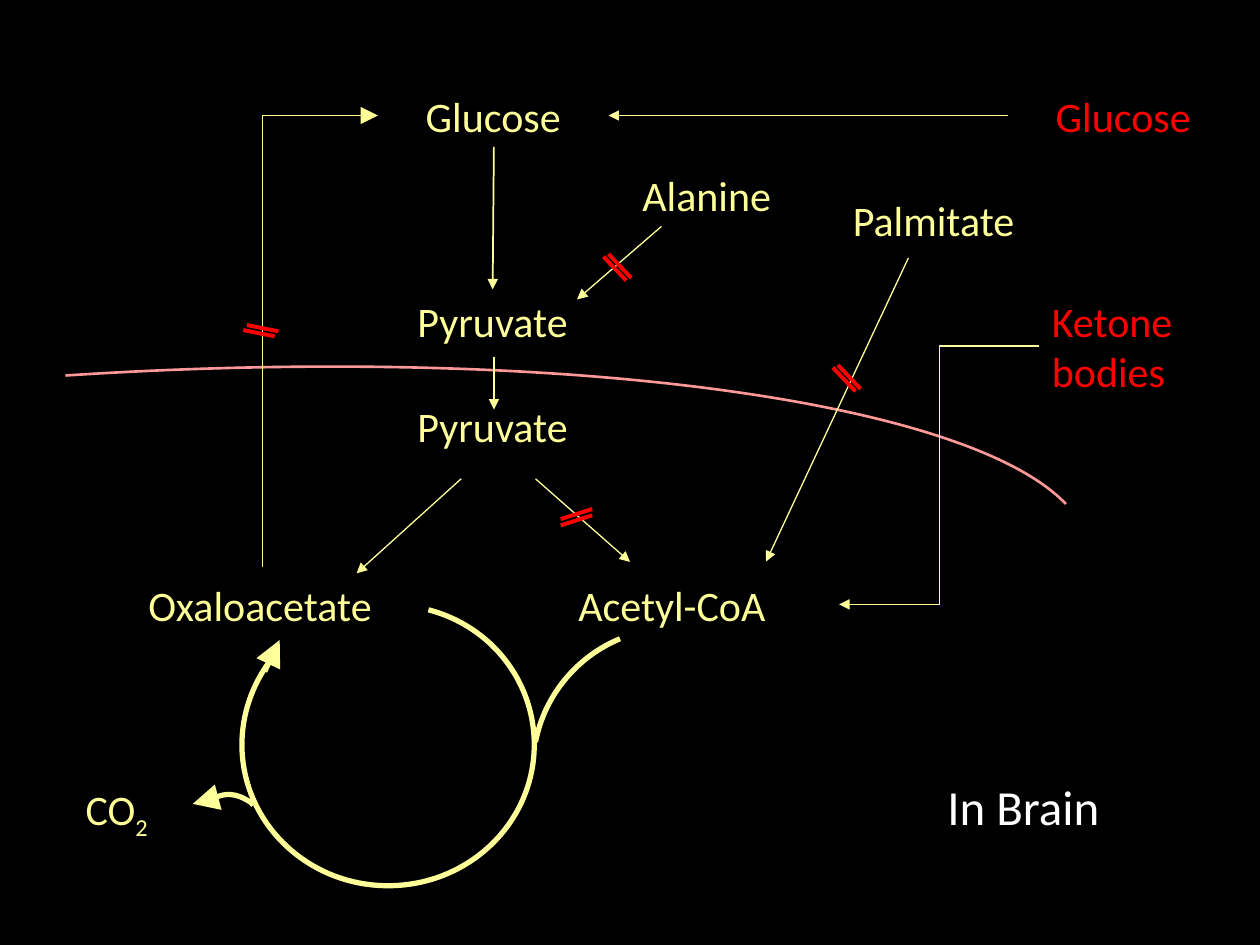
from dataclasses import dataclass
from math import cos, radians, sin
from typing import Any

from lxml.etree import SubElement
from pptx import Presentation
from pptx.dml.color import RGBColor
from pptx.enum.shapes import MSO_CONNECTOR
from pptx.enum.text import MSO_AUTO_SIZE, PP_ALIGN
from pptx.oxml.ns import qn
from pptx.util import Inches, Pt

CREAM, RED, PINK, WHITE = "FFFF99", "FF0000", "FF9999", "FFFFFF"
TOP = 2 / 3  # first row of labels
ROW = 1 / 4  # from a label's top to its arrow


def rgb(code):
    return RGBColor.from_string(code)


def style(shape, color, width, head=None):
    shape.line.color.rgb = rgb(color)
    shape.line.width = Pt(width)
    if head:
        SubElement(shape.line._get_or_add_ln(), qn("a:tailEnd"),
                   type="triangle", w=head, len=head)


@dataclass
class Box:
    """A region whose parts are placed from its top left corner."""
    shapes: Any
    left: float
    top: float

    def spot(self, x, y):
        return Inches(self.left + x), Inches(self.top + y)

    def text(self, words, x, y, w, h=0.5, color=CREAM, size=24,
             align=PP_ALIGN.LEFT, inset=0.1, wrap=True):
        frame = self.shapes.add_textbox(*self.spot(x, y), Inches(w), Inches(h)).text_frame
        frame.word_wrap = wrap
        frame.auto_size = MSO_AUTO_SIZE.SHAPE_TO_FIT_TEXT
        frame.margin_left = Inches(inset)
        para = frame.paragraphs[0]
        para.text = words
        para.alignment = align
        para.font.name, para.font.size = "Calibri", Pt(size)
        para.font.color.rgb = rgb(color)
        return para

    def line(self, start, end, color=CREAM, width=0.75, head="med",
             kind=MSO_CONNECTOR.STRAIGHT, group=None):
        shapes = group.shapes if group else self.shapes
        link = shapes.add_connector(kind, *self.spot(*start), *self.spot(*end))
        style(link, color, width, head)
        SubElement(link._element.spPr, qn("a:effectLst"))
        return link

    def corner(self, start, end):
        """Arrow that goes up from start, then right to end."""
        (x1, y1), (x2, y2) = start, end
        mid_x, mid_y = (x1 + x2) / 2, (y1 + y2) / 2
        half_w, half_h = (y1 - y2) / 2, (x2 - x1) / 2
        link = self.line((mid_x - half_w, mid_y - half_h),
                         (mid_x + half_w, mid_y + half_h),
                         head="lg", kind=MSO_CONNECTOR.ELBOW)
        props = link._element.spPr
        props.find(qn("a:xfrm")).set("rot", str(270 * 60000))
        props.find(qn("a:prstGeom")).set("prst", "bentConnector2")

    def block(self, start, end, shift):
        """Two parallel red strokes across a closed route."""
        group = self.shapes.add_group_shape()
        for k in range(2):
            ends = [(x + k * shift[0], y + k * shift[1]) for x, y in (start, end)]
            self.line(*ends, RED, 2.25, None, group=group)

    def curve(self, frame, turn, *points, color=CREAM, width=3):
        """Open Bezier outline in a turned frame: a start, then threes."""
        x, y, w, h = frame
        c, s = cos(radians(turn)), sin(radians(turn))
        local = []
        for px, py in points:
            dx, dy = px - x - w / 2, py - y - h / 2
            local.append((Inches(w / 2 + c * dx + s * dy),
                          Inches(h / 2 - s * dx + c * dy)))
        pen = self.shapes.build_freeform(0, 0)
        pen.add_line_segments([(Inches(w), Inches(h))], close=False)
        shape = pen.convert_to_shape()
        shape.left, shape.top = self.spot(x, y)
        shape.rotation = turn
        # Bezier steps take the place of the straight one
        route = next(shape._element.iter(qn("a:path")))
        for step in list(route):
            route.remove(step)
        step = SubElement(route, qn("a:moveTo"))
        for k, (px, py) in enumerate(local):
            if k % 3 == 1:
                step = SubElement(route, qn("a:cubicBezTo"))
            SubElement(step, qn("a:pt"), x=str(px), y=str(py))
        shape.shadow.inherit = False
        shape.fill.background()
        style(shape, color, width)


def draw_cell(box):
    # Glucose to pyruvate, with alanine closed off
    box.text("Glucose", 0.1, 0, 1.83, align=PP_ALIGN.CENTER)
    box.text("Pyruvate", 0.01, 1.63, 2, align=PP_ALIGN.CENTER)
    box.text("Alanine", 2.1, 0.63, 1.42)
    box.line((1.02, 0.5), (1.01, 1.63), width=1)
    box.line((2.35, 1.13), (1.68, 1.71))
    box.block((2.07, 1.56), (1.89, 1.37), (0.04, -0.02))


def draw_wall(box):
    # Membrane
    box.curve((0.05, 0, 7.86, 1.92), 356.2,
              (0, 0.26), (3.81, 0.01), (7.14, 0.44), (7.94, 1.28),
              color=PINK, width=1.5)


def draw_fuel(box):
    # Fuels from outside
    box.text("Glucose", 2, 0, 1.83, color=RED, align=PP_ALIGN.CENTER)
    box.line((2, ROW), (-1.17, ROW))
    box.text("Palmitate", 0.67, 0.83, 1.75)
    box.line((1.21, 1.38), (0.08, 3.79))
    box.block((0.79, 2.44), (0.61, 2.25), (0.04, -0.02))
    box.text("Ketone bodies", 2.25, 1.63, 1.5, 0.9, RED)
    box.line((2.25, 2.08), (0.66, 4.13), kind=MSO_CONNECTOR.ELBOW)


def draw_inner(box):
    # Pyruvate and its two products
    box.text("Pyruvate", 1.91, 0.33, 2, align=PP_ALIGN.CENTER)
    box.text("Oxaloacetate", 0.08, 1.75, 2.5)
    box.text("Acetyl-CoA", 3.42, 1.75, 2.25, inset=0.17)
    box.line((2.92, 0.03), (2.92, 0.45))
    box.line((2.66, 1), (1.83, 1.75))
    box.line((3.25, 1), (4, 1.66))
    box.block((3.45, 1.32), (3.7, 1.24), (0, 0.05))
    # Way back to glucose
    box.corner((13 / 12, 1.7), (2, TOP + ROW - box.top))
    box.block((1.18, -0.13), (0.93, -0.18), (0.03, -0.04))


def draw_cycle(box):
    # Main ring
    box.curve((1.42, 0.04, 2.32, 2.2), 0, (2.9, 0.04),
              (3.4, 0.17), (3.74, 0.61), (3.74, 1.11),
              (3.74, 1.73), (3.22, 2.23), (2.58, 2.23),
              (1.94, 2.23), (1.42, 1.73), (1.42, 1.11),
              (1.42, 0.87), (1.5, 0.64), (1.64, 0.45))
    box.line((1.6, 0.53), (1.72, 0.28), width=3, head="lg")
    # Acetyl-CoA enters
    box.curve((3.62, 0.5, 1.16, 0.94), 69.8,
              (3.75, 1.09), (3.82, 0.72), (4.08, 0.41), (4.42, 0.27))
    # Carbon dioxide leaves
    box.curve((1.2, 1.46, 0.25, 0.29), 303.1, (1.51, 1.59),
              (1.5, 1.57), (1.48, 1.56), (1.46, 1.55),
              (1.38, 1.5), (1.29, 1.49), (1.21, 1.53))
    box.line((1.22, 1.53), (1.03, 1.58), width=3, head="lg")
    para = box.text("CO", 0, 1.37, 1.17, inset=0.18)
    low = para.add_run()
    low.text = "2"
    low.font._element.set("baseline", "-25000")


def main():
    deck = Presentation()
    deck.slide_width, deck.slide_height = Inches(10), Inches(7.5)
    slide = deck.slides.add_slide(deck.slide_layouts[6])
    slide.background.fill.solid()
    slide.background.fill.fore_color.rgb = rgb("000000")

    draw_cell(Box(slide.shapes, 2.9, TOP))
    draw_wall(Box(slide.shapes, 0.52, 2.72))
    draw_fuel(Box(slide.shapes, 6, TOP))
    draw_inner(Box(slide.shapes, 1, 2.8))
    draw_cycle(Box(slide.shapes, 0.5, 4.8))
    # Caption
    Box(slide.shapes, 7.42, 6.11).text("In Brain", 0, 0, 1.54, 0.57, WHITE, 28,
                                       wrap=False)
    deck.save("out.pptx")


if __name__ == "__main__":
    main()
